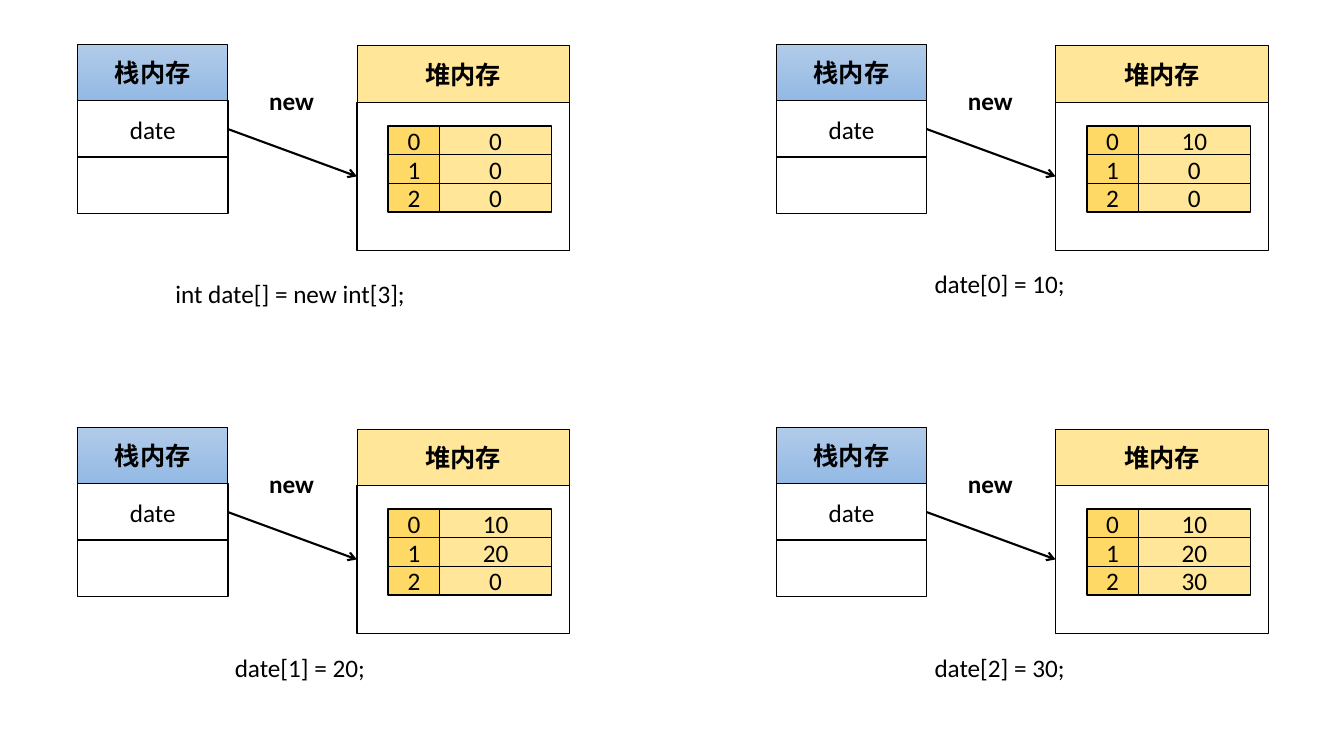
import pptx
import pptx.util
import pptx.dml.color
import pptx.enum.shapes
import pptx.enum.text
import pptx.oxml.ns
from lxml import etree

STACK = "栈内存"
HEAP = "堆内存"
NAME = "date"
LINK = "new"
STEPS = [
    {"code": "int date[] = new int[3];", "cells": [0, 0, 0], "at": (0.87, 2.27), "wide": 2.51},
    {"code": "date[0] = 10;", "cells": [10, 0, 0], "at": (1.47, 2.17), "wide": 1.51},
    {"code": "date[1] = 20;", "cells": [10, 20, 0], "at": (1.46, 2.18), "wide": 1.51},
    {"code": "date[2] = 30;", "cells": [10, 20, 30], "at": (1.47, 2.18), "wide": 1.51},
]
FONT, SIZE = "Calibri", 18
BLACK, WHITE = "000000", "FFFFFF"
BLUE = ("B1CBE9", "93B9E4")
CREAM, GOLD = "FFE699", "FFD966"

WIDE, HIGH = 13.33, 7.5
LEFT, TOP = 0.77, 0.44
COLS, ACROSS, DOWN = 2, 6.93, 3.8
ROW = 0.56
STACK_W = 1.49
HEAP_X, HEAP_Y, HEAP_W, HEAP_H = 2.77, 0.015, 2.11, 1.47
CELL_X, CELL_Y, CELL_H = 3.08, 0.81, 0.285
INDEX_W, VALUE_W = 0.51, 1.11
LABEL_H = 0.4

inch = pptx.util.Inches
deck = pptx.Presentation()
deck.slide_width, deck.slide_height = inch(WIDE), inch(HIGH)
slide = deck.slides.add_slide(deck.slide_layouts[6])
shapes = slide.shapes


def color(text):
    return pptx.dml.color.RGBColor.from_string(text)


def write(frame, text, bold=False):
    run = frame.paragraphs[0].add_run()
    run.text = text
    run.font.name = FONT
    run.font.size = pptx.util.Pt(SIZE)
    run.font.bold = bold
    run.font.color.rgb = color(BLACK)


def box(x, y, w, h, fill, text="", bold=False, line=1):
    rect = shapes.add_shape(
        pptx.enum.shapes.MSO_SHAPE.RECTANGLE, inch(x), inch(y), inch(w), inch(h))
    rect.shadow.inherit = False
    if isinstance(fill, tuple):
        rect.fill.gradient()
        rect.fill.gradient_angle = 270
        for stop, tone in zip(rect.fill.gradient_stops, fill):
            stop.color.rgb = color(tone)
    else:
        rect.fill.solid()
        rect.fill.fore_color.rgb = color(fill)
    rect.line.color.rgb = color(BLACK)
    rect.line.width = pptx.util.Pt(line)
    if text:
        frame = rect.text_frame
        frame.vertical_anchor = pptx.enum.text.MSO_ANCHOR.MIDDLE
        frame.paragraphs[0].alignment = pptx.enum.text.PP_ALIGN.CENTER
        write(frame, text, bold)


def label(x, y, w, text, bold=False):
    frame = shapes.add_textbox(inch(x), inch(y), inch(w), inch(LABEL_H)).text_frame
    frame.word_wrap = False
    frame.auto_size = pptx.enum.text.MSO_AUTO_SIZE.SHAPE_TO_FIT_TEXT
    write(frame, text, bold)


def arrow(x1, y1, x2, y2):
    link = shapes.add_connector(
        pptx.enum.shapes.MSO_CONNECTOR.STRAIGHT, inch(x1), inch(y1), inch(x2), inch(y2))
    link.line.color.rgb = color(BLACK)
    link.line.width = pptx.util.Pt(1.5)
    qn = pptx.oxml.ns.qn
    etree.SubElement(link.line._get_or_add_ln(), qn("a:tailEnd"), type="arrow")
    etree.SubElement(link._element.spPr, qn("a:effectLst"))


def panel(x, y, step):
    box(x, y, STACK_W, ROW, BLUE, STACK, True, 0.5)
    box(x, y + ROW, STACK_W, ROW, WHITE, NAME)
    box(x, y + 2 * ROW, STACK_W, ROW, WHITE)

    heap, top = x + HEAP_X, y + HEAP_Y
    box(heap, top, HEAP_W, ROW, CREAM, HEAP, True, 0.5)
    box(heap, top + ROW, HEAP_W, HEAP_H, WHITE)
    arrow(x + STACK_W, y + 1.5 * ROW, heap, top + ROW + HEAP_H / 2)
    label(x + 1.8, y + 0.36, 0.65, LINK, True)

    for i, value in enumerate(step["cells"]):
        row = y + CELL_Y + i * CELL_H
        box(x + CELL_X + INDEX_W, row, VALUE_W, CELL_H, CREAM, str(value))
        box(x + CELL_X, row, INDEX_W, CELL_H, GOLD, str(i))

    dx, dy = step["at"]
    label(x + dx, y + dy, step["wide"], step["code"])


for n, step in enumerate(STEPS):
    row, col = divmod(n, COLS)
    panel(LEFT + col * ACROSS, TOP + row * DOWN, step)

deck.save("out.pptx")
